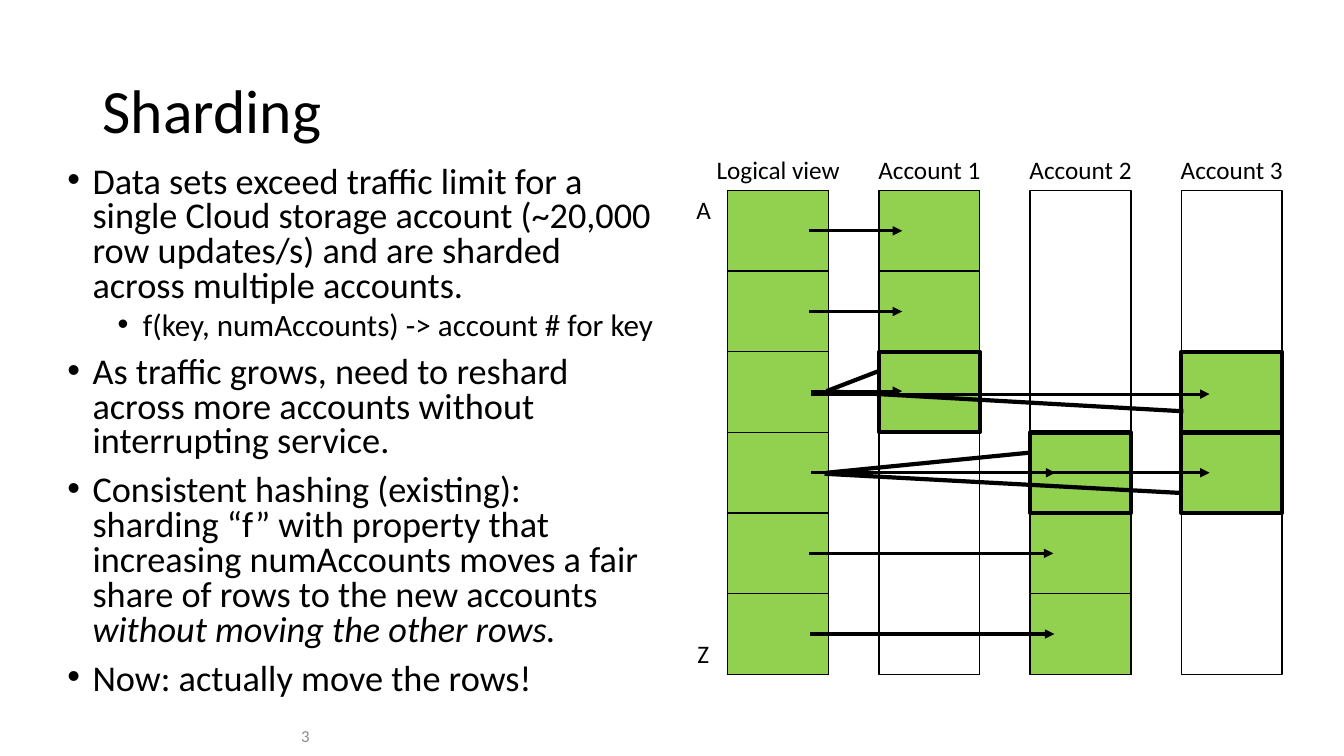
from lxml.etree import SubElement
from pptx import Presentation
from pptx.dml.color import RGBColor
from pptx.enum.shapes import MSO_CONNECTOR, MSO_SHAPE
from pptx.enum.text import MSO_ANCHOR, PP_ALIGN
from pptx.oxml.ns import qn
from pptx.util import Pt

BLACK = RGBColor(0x00, 0x00, 0x00)
GRAY = RGBColor(0x8C, 0x8C, 0x8C)
GREEN = RGBColor(0x92, 0xD0, 0x50)
FONT = "Calibri"

COLUMN_LEFT, COLUMN_TOP, COLUMN_PITCH = 519.84, 136.08, 108
SHARD_WIDTH, SHARD_HEIGHT, SHARD_COUNT = 72, 57.6, 6

HEADINGS = ["Logical view", "Account 1", "Account 2", "Account 3"]
SHARDS = [range(6), range(3), range(3, 6), range(2, 4)]
MOVED = [(1, 2), (3, 2), (2, 3), (3, 3)]
CALLOUTS = [
    (590.4, 279.4, 627.84, 265),
    (590.4, 279.4, 845.3, 293.8),
    (589, 338.4, 843.1, 352.1),
    (590.4, 337.7, 735.84, 323.3),
]
ARROWS = [
    (578.2, 644.4, 164.88),
    (578.2, 644.4, 222.48),
    (578.9, 753.1, 452.88),
    (578.2, 752.4, 395.28),
    (579.6, 753.8, 337.68),
    (579.6, 644.4, 279.4),
    (579.6, 864, 337.68),
    (579.6, 864, 281.5),
]
BULLETS = [
    (0, "Data sets exceed traffic limit for a single Cloud storage account "
        "(~20,000 row updates/s) and are sharded across multiple accounts.", ""),
    (1, "f(key, numAccounts) -> account # for key", ""),
    (0, "As traffic grows, need to reshard across more accounts without "
        "interrupting service.", ""),
    (0, "Consistent hashing (existing): sharding “f” with property that "
        "increasing numAccounts moves a fair share of rows to the new accounts ",
        "without moving the other rows."),
    (0, "Now: actually move the rows!", ""),
]


def style_runs(paragraph, size, color=BLACK):
    for run in paragraph.runs:
        run.font.name = FONT
        run.font.size = Pt(size)
        run.font.color.rgb = color


def add_label(slide, text, left, top, width, height, size, color=BLACK,
              align=PP_ALIGN.LEFT, anchor=MSO_ANCHOR.TOP, wrap=False):
    frame = slide.shapes.add_textbox(
        Pt(left), Pt(top), Pt(width), Pt(height)).text_frame
    frame.word_wrap = wrap
    frame.vertical_anchor = anchor
    frame.text = text
    label = frame.paragraphs[0]
    label.alignment = align
    style_runs(label, size, color)
    return label


def add_bullets(slide):
    frame = slide.shapes.add_textbox(
        Pt(41.04), Pt(115.2), Pt(434.16), Pt(396)).text_frame
    frame.word_wrap = True
    for index, (level, text, emphasis) in enumerate(BULLETS):
        point = frame.add_paragraph() if index else frame.paragraphs[0]
        point.text = text
        point.level = level
        point.line_spacing = 0.8
        point.space_before = Pt(5 if level else 10)
        if emphasis:
            closing = point.add_run()
            closing.text = emphasis
            closing.font.italic = True
        style_runs(point, 22.2 if level else 25.9)
        properties = point._p.get_or_add_pPr()
        properties.set("marL", str(Pt(54 if level else 18)))
        properties.set("indent", str(Pt(-18)))
        SubElement(properties, qn("a:buFont"), typeface="Arial")
        SubElement(properties, qn("a:buChar"), char="•")


def add_cells(slide, column, row, rows=1, fill=None, weight=1):
    cell = slide.shapes.add_shape(
        MSO_SHAPE.RECTANGLE,
        Pt(COLUMN_LEFT + column * COLUMN_PITCH),
        Pt(COLUMN_TOP + row * SHARD_HEIGHT),
        Pt(SHARD_WIDTH), Pt(rows * SHARD_HEIGHT))
    cell.shadow.inherit = False
    cell.line.color.rgb = BLACK
    cell.line.width = Pt(weight)
    if fill is None:
        cell.fill.background()
    else:
        cell.fill.solid()
        cell.fill.fore_color.rgb = fill


def add_line(slide, x1, y1, x2, y2, weight, arrow=False):
    link = slide.shapes.add_connector(
        MSO_CONNECTOR.STRAIGHT, Pt(x1), Pt(y1), Pt(x2), Pt(y2))
    link.line.color.rgb = BLACK
    link.line.width = Pt(weight)
    if arrow:
        SubElement(link.line._get_or_add_ln(), qn("a:tailEnd"), type="triangle")
    SubElement(link._element.spPr, qn("a:effectLst"))


def add_sharding_diagram(slide):
    for column, heading in enumerate(HEADINGS):
        add_cells(slide, column, 0, SHARD_COUNT)
        add_label(slide, heading, COLUMN_LEFT + column * COLUMN_PITCH - 16,
                  106.56, SHARD_WIDTH + 32, 28.8, 18, align=PP_ALIGN.CENTER)
    for column, rows in enumerate(SHARDS):
        for row in rows:
            add_cells(slide, column, row, fill=GREEN)
    for column, row in MOVED:
        add_cells(slide, column, row, weight=3)
    for callout in CALLOUTS:
        add_line(slide, *callout, weight=3)
    for start, end, y in ARROWS:
        add_line(slide, start, y, end, y, weight=2.25, arrow=True)
    add_label(slide, "A", 490.32, 135.36, 25.2, 28.8, 18)
    add_label(slide, "Z", 491.04, 452.16, 23.04, 28.8, 18)


def main():
    deck = Presentation()
    deck.slide_width, deck.slide_height = Pt(960), Pt(540)
    slide = deck.slides.add_slide(deck.slide_layouts[6])
    title = add_label(slide, "Sharding", 66.24, 28.8, 828, 104.4, 44,
                      anchor=MSO_ANCHOR.MIDDLE, wrap=True)
    title.line_spacing = 0.9
    add_bullets(slide)
    add_label(slide, "3", 12.24, 511.2, 216, 28.8, 12, GRAY,
              PP_ALIGN.RIGHT, MSO_ANCHOR.MIDDLE, True)
    add_sharding_diagram(slide)
    deck.save("out.pptx")


if __name__ == "__main__":
    main()
